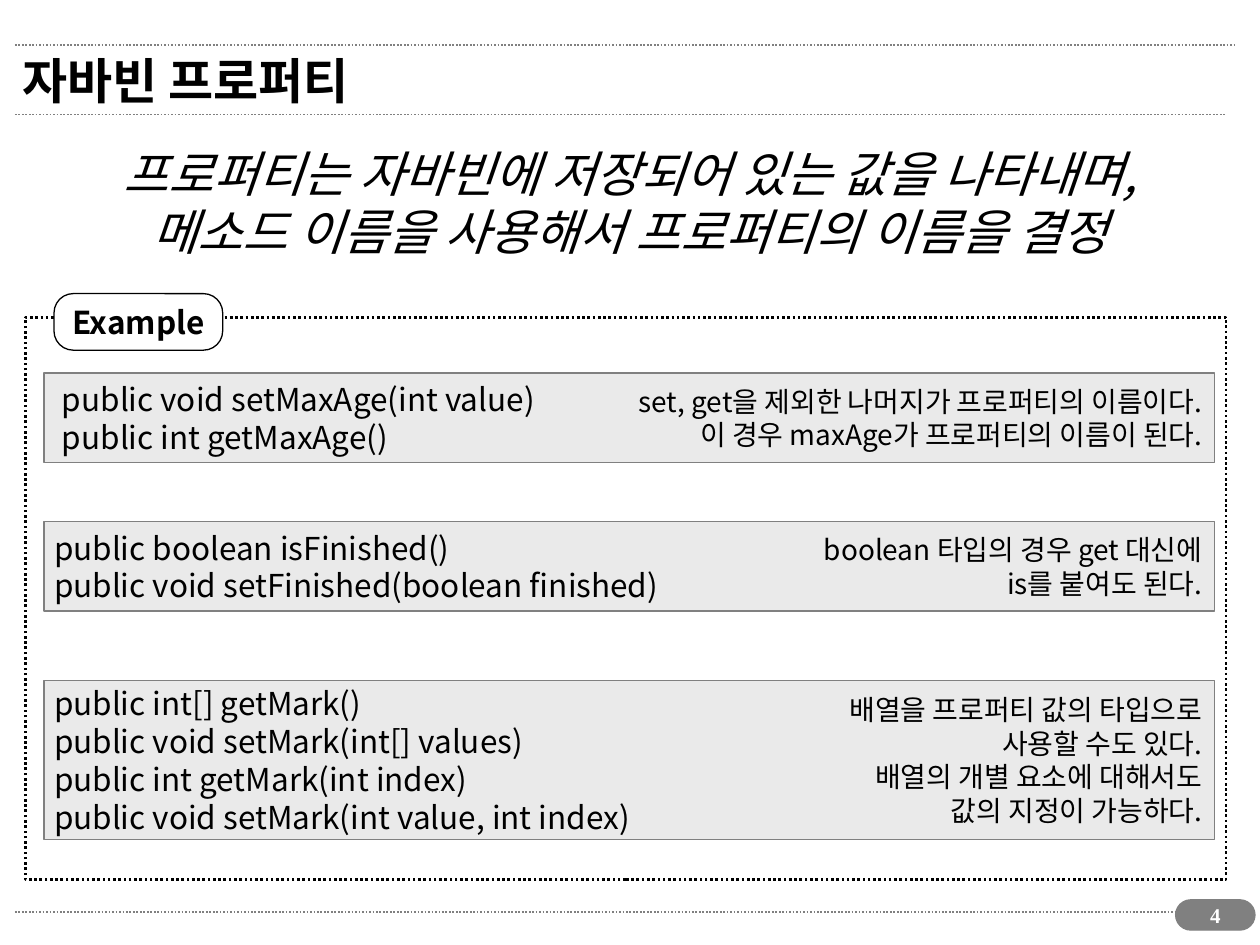
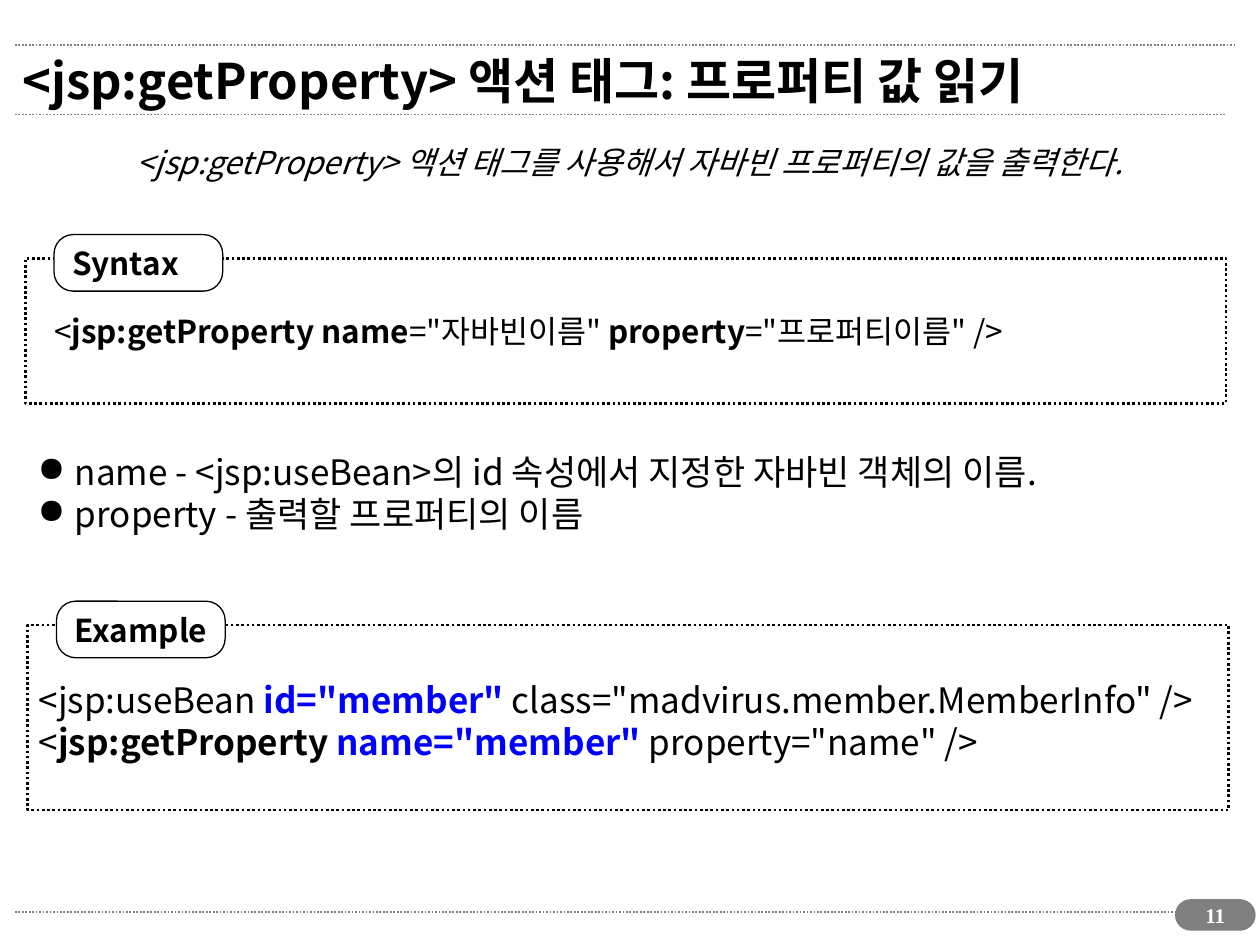
import pptx
import pptx.dml.color
import pptx.enum.dml
import pptx.enum.shapes
import pptx.enum.text
import pptx.oxml
import pptx.oxml.ns
import pptx.util

Cm = pptx.util.Cm
Pt = pptx.util.Pt
RGBColor = pptx.dml.color.RGBColor
Shapes = pptx.enum.shapes.MSO_SHAPE
Align = pptx.enum.text.PP_ALIGN
Anchor = pptx.enum.text.MSO_ANCHOR
qn = pptx.oxml.ns.qn

BLACK = RGBColor(0x00, 0x00, 0x00)
WHITE = RGBColor(0xFF, 0xFF, 0xFF)
GRAY = RGBColor(0x80, 0x80, 0x80)
CARD = RGBColor(0xEA, 0xEA, 0xEA)
BLUE = RGBColor(0x00, 0x00, 0xFF)

SANS = "Noto Sans CJK KR"
SERIF = "Times New Roman"
RULES = [(0.91, 24.89), (2.31, 24.69), (18.39, 24.71)]


class Deck:
    def __init__(self):
        self.presentation = pptx.Presentation()
        self.presentation.slide_width = Cm(25.4)
        self.presentation.slide_height = Cm(19.05)
        self.slide = None

    def add_slide(self, title, number):
        layout = self.presentation.slide_layouts[6]
        self.slide = self.presentation.slides.add_slide(layout)
        for top, right in RULES:
            self.rule(0.3, top, right)
        pill = self.box(23.7, 18.14, 1.6, 0.61, GRAY, GRAY, corner=0.5)
        self.fill_text(pill, [number], 12, color=WHITE, bold=True, align=Align.CENTER,
                       anchor=Anchor.MIDDLE, font_name=SERIF, inset=0)
        self.text(0.2, 0.71, 23.11, 1.8, [title], 28, bold=True,
                  anchor=Anchor.MIDDLE, spacing=None)

    def rule(self, left, top, right):
        connector = self.slide.shapes.add_connector(
            pptx.enum.shapes.MSO_CONNECTOR.STRAIGHT, Cm(left), Cm(top), Cm(right), Cm(top))
        connector.line.color.rgb = GRAY
        connector.line.width = Pt(1)
        connector.line.dash_style = pptx.enum.dml.MSO_LINE.ROUND_DOT
        properties = connector._element.spPr
        properties.append(properties.makeelement(qn("a:effectLst"), {}))

    def box(self, left, top, width, height, fill, line, line_width=0.75, corner=None):
        kind = Shapes.RECTANGLE if corner is None else Shapes.ROUNDED_RECTANGLE
        shape = self.slide.shapes.add_shape(kind, Cm(left), Cm(top), Cm(width), Cm(height))
        if corner is not None:
            shape.adjustments[0] = corner
        shape.shadow.inherit = False
        if fill is None:
            shape.fill.background()
        else:
            shape.fill.solid()
            shape.fill.fore_color.rgb = fill
        shape.line.color.rgb = line
        shape.line.width = Pt(line_width)
        return shape

    def text(self, left, top, width, height, lines, size, **style):
        shape = self.slide.shapes.add_textbox(Cm(left), Cm(top), Cm(width), Cm(height))
        self.fill_text(shape, lines, size, **style)

    def fill_text(self, shape, lines, size, color=BLACK, bold=False, italic=False,
                  align=Align.LEFT, anchor=Anchor.TOP, font_name=SANS, inset=0.25,
                  spacing=1.2, bullet=None):
        frame = shape.text_frame
        frame.word_wrap = True
        frame.vertical_anchor = anchor
        frame.margin_left = Cm(inset)
        frame.margin_right = Cm(inset)
        frame.margin_top = frame.margin_bottom = Cm(inset / 2)
        for index, line in enumerate(lines):
            paragraph = frame.add_paragraph() if index else frame.paragraphs[0]
            paragraph.alignment = align
            if spacing:
                paragraph.line_spacing = Pt(size * spacing)
            font = paragraph.font
            font.name = font_name
            font.size = Pt(size)
            font.bold = bold
            font.italic = italic
            font.color.rgb = color
            properties = paragraph._p.get_or_add_pPr()
            defaults = properties.find(qn("a:defRPr"))
            east_asian = defaults.makeelement(qn("a:ea"), {"typeface": font_name})
            defaults.find(qn("a:latin")).addnext(east_asian)
            if bullet:
                properties.set("marL", str(Cm(0.75)))
                properties.set("indent", str(-Cm(0.75)))
                defaults.addprevious(
                    defaults.makeelement(qn("a:buChar"), {"char": bullet}))
            for part in [line] if isinstance(line, str) else line:
                self.add_run(paragraph, part)

    def add_run(self, paragraph, part):
        run = paragraph.add_run()
        if isinstance(part, str):
            run.text = part
            return
        run.text, color = part
        run.font.bold = True
        run.font.color.rgb = color

    def labelled_frame(self, left, top, height, label):
        frame = self.box(left, top, 24.21, height, None, BLACK, 1.5)
        frame.line.dash_style = pptx.enum.dml.MSO_LINE.ROUND_DOT
        tab = self.box(left + 0.58, top - 0.48, 3.4, 1.14, WHITE, BLACK, corner=0.34)
        self.fill_text(tab, [label], 18, bold=True, anchor=Anchor.MIDDLE)
        tab.text_frame.margin_right = 0

    def code_card(self, top, height, code, notes, code_left=0.84):
        card = self.box(0.89, top, 23.6, height, CARD, GRAY)
        self.fill_text(card, notes, 16, align=Align.RIGHT, anchor=Anchor.MIDDLE)
        self.text(code_left, top, 15.2, height, code, 18, anchor=Anchor.MIDDLE)


def add_property_slide(deck):
    deck.add_slide("자바빈 프로퍼티", "4")
    deck.text(0, 2.76, 25.4, 2.64,
              ["프로퍼티는 자바빈에 저장되어 있는 값을 나타내며,",
               "메소드 이름을 사용해서 프로퍼티의 이름을 결정"],
              28, italic=True, align=Align.CENTER)
    deck.labelled_frame(0.51, 6.4, 11.33, "Example")
    deck.code_card(7.52, 1.8,
                   ["public void setMaxAge(int value)", "public int getMaxAge()"],
                   ["set, get을 제외한 나머지가 프로퍼티의 이름이다.",
                    "이 경우 maxAge가 프로퍼티의 이름이 된다."], code_left=1)
    deck.code_card(10.52, 1.8,
                   ["public boolean isFinished()",
                    "public void setFinished(boolean finished)"],
                   ["boolean 타입의 경우 get 대신에", "is를 붙여도 된다."])
    deck.code_card(13.72, 3.2,
                   ["public int[] getMark()", "public void setMark(int[] values)",
                    "public int getMark(int index)",
                    "public void setMark(int value, int index)"],
                   ["배열을 프로퍼티 값의 타입으로", "사용할 수도 있다.",
                    "배열의 개별 요소에 대해서도", "값의 지정이 가능하다."])


def add_get_property_slide(deck):
    deck.add_slide("<jsp:getProperty> 액션 태그: 프로퍼티 값 읽기", "11")
    deck.text(0, 2.76, 25.4, 1.02,
              ["<jsp:getProperty> 액션 태그를 사용해서 자바빈 프로퍼티의 값을 출력한다."],
              18, italic=True, align=Align.CENTER)
    deck.labelled_frame(0.51, 5.21, 2.92, "Syntax")
    deck.text(0.84, 6.16, 23.47, 1.02,
              [["<", ("jsp:getProperty name", BLACK), "=\"자바빈이름\" ",
                ("property", BLACK), "=\"프로퍼티이름\" />"]], 18)
    deck.text(0.51, 8.95, 24, 2.62,
              ["name - <jsp:useBean>의 id 속성에서 지정한 자바빈 객체의 이름.",
               "property - 출력할 프로퍼티의 이름"], 20, bullet="●")
    deck.labelled_frame(0.56, 12.6, 3.73, "Example")
    deck.text(0.53, 13.56, 24.6, 1.96,
              [["<jsp:useBean ", ("id=\"member\"", BLUE),
                " class=\"madvirus.member.MemberInfo\" />"],
               ["<", ("jsp:getProperty ", BLACK), ("name=\"member\"", BLUE),
                " property=\"name\" />"]], 20)


def main():
    deck = Deck()
    add_property_slide(deck)
    add_get_property_slide(deck)
    deck.presentation.save("out.pptx")


if __name__ == "__main__":
    main()
